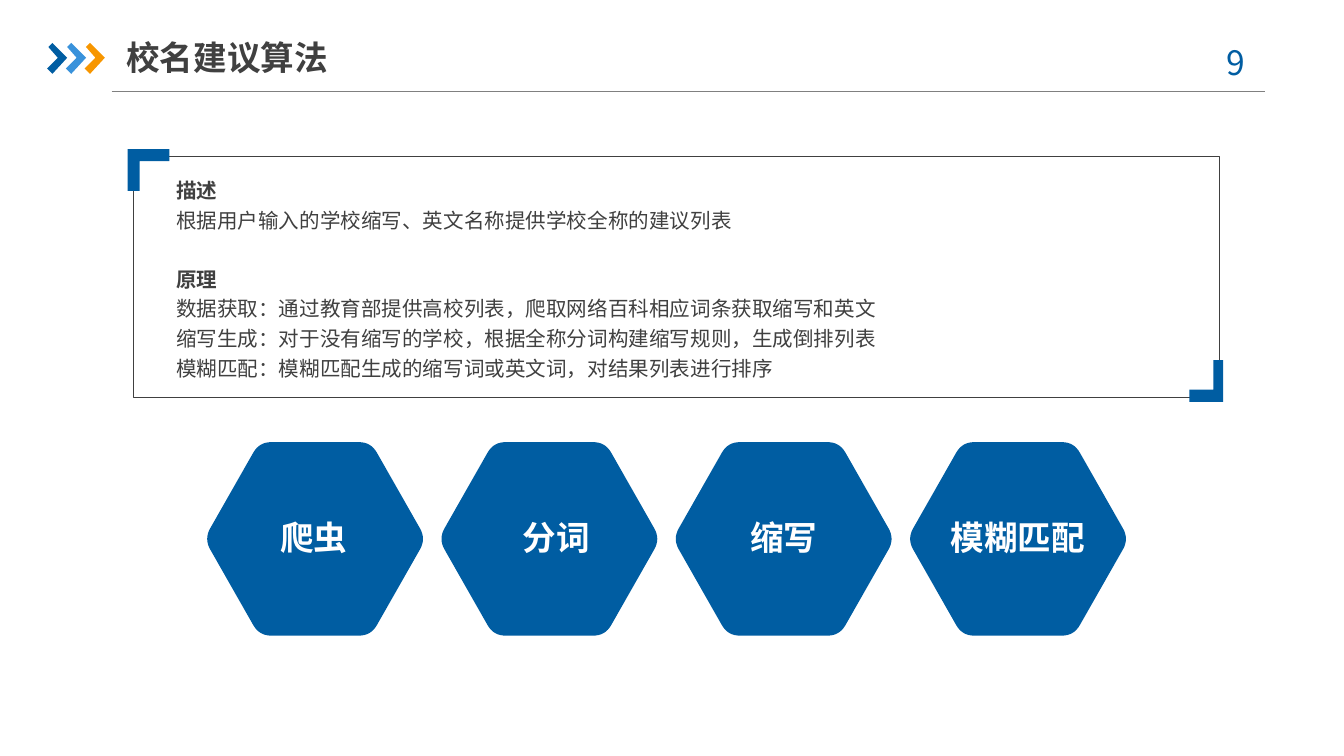
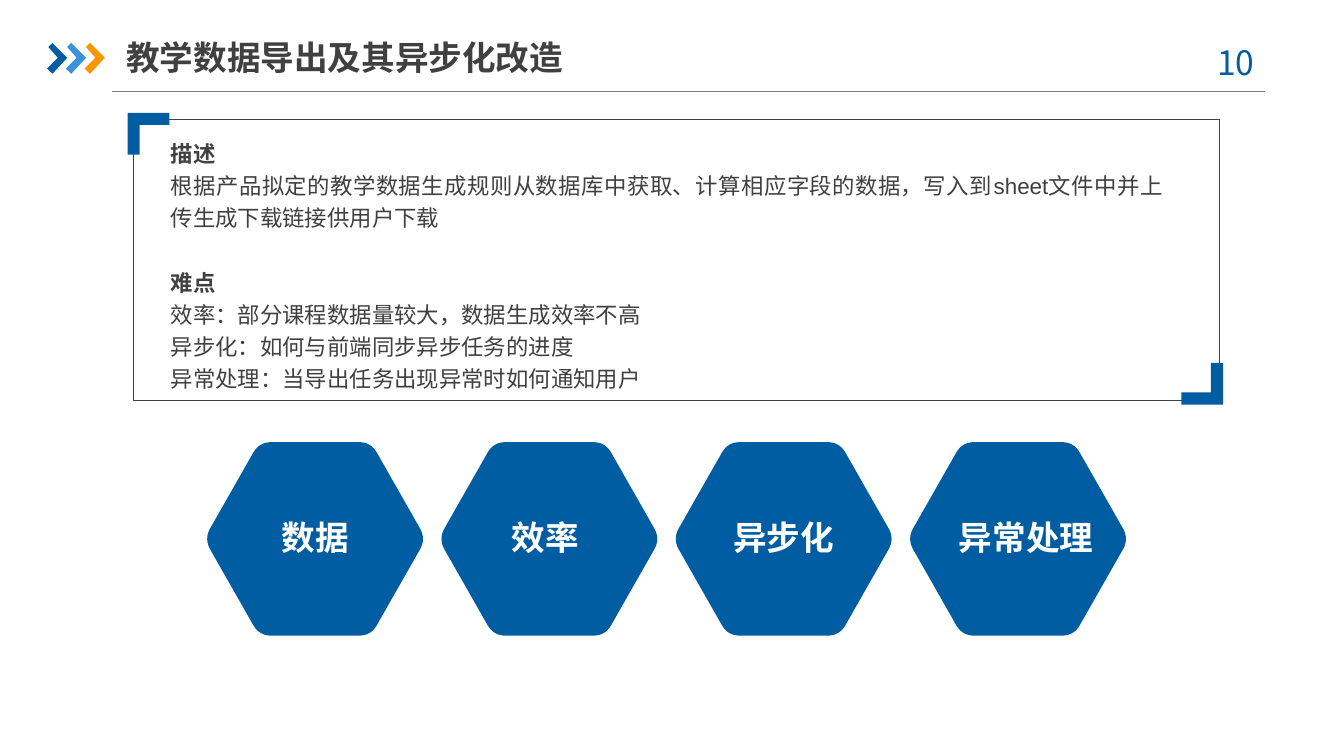
import dataclasses

import lxml.etree
import pptx
import pptx.dml.color
import pptx.enum.shapes
import pptx.enum.text
import pptx.oxml.ns
import pptx.util

Inches = pptx.util.Inches
Pt = pptx.util.Pt
ALIGN = pptx.enum.text.PP_ALIGN
ANCHOR = pptx.enum.text.MSO_ANCHOR


@dataclasses.dataclass(frozen=True)
class Theme:
    blue: str = "005DA2"
    light_blue: str = "3992DB"
    orange: str = "F79600"
    ink: str = "404040"
    rule: str = "808080"
    white: str = "FFFFFF"
    font: str = "Arial"
    number_font: str = "Noto Sans CJK SC"
    heading_size: int = 18


T = Theme()

TOPICS = [
    dict(
        number="9",
        title="校名建议算法",
        title_width=2.33,
        panel=(0.99, 1.16, 8.08, 1.8),
        text_inset=(0.32, 0.13),
        text_size=11,
        end_bracket_width=0.25,
        sections=[
            ("描述", ["根据用户输入的学校缩写、英文名称提供学校全称的建议列表"]),
            ("原理", [
                "数据获取：通过教育部提供高校列表，爬取网络百科相应词条获取缩写和英文",
                "缩写生成：对于没有缩写的学校，根据全称分词构建缩写规则，生成倒排列表",
                "模糊匹配：模糊匹配生成的缩写词或英文词，对结果列表进行排序",
            ]),
        ],
        # label and its sideways shift from the hexagon's centre
        keywords=[("爬虫", -0.01), ("分词", 0.05), ("缩写", 0), ("模糊匹配", 0)],
    ),
    dict(
        number="10",
        title="教学数据导出及其异步化改造",
        title_width=3.35,
        panel=(0.99, 0.89, 8.08, 2.09),
        text_inset=(0.28, 0.11),
        text_size=12,
        end_bracket_width=0.31,
        sections=[
            ("描述", ["根据产品拟定的教学数据生成规则从数据库中获取、计算相应字段的数据，"
                    "写入到sheet文件中并上传生成下载链接供用户下载"]),
            ("难点", [
                "效率：部分课程数据量较大，数据生成效率不高",
                "异步化：如何与前端同步异步任务的进度",
                "异常处理：当导出任务出现异常时如何通知用户",
            ]),
        ],
        keywords=[("数据", 0), ("效率", -0.03), ("异步化", 0), ("异常处理", 0.06)],
    ),
]


def rgb(color):
    return pptx.dml.color.RGBColor.from_string(color)


def set_all(obj, **values):
    for name, value in values.items():
        setattr(obj, name, value)


def add_outline(shapes, points, color):
    """Add a closed, filled outline through points given in inches."""
    pts = [(Inches(x), Inches(y)) for x, y in points]
    builder = shapes.build_freeform(*pts[0])
    builder.add_line_segments(pts[1:], close=True)
    sp = builder.convert_to_shape()
    sp.shadow.inherit = False
    sp.fill.solid()
    sp.fill.fore_color.rgb = rgb(color)
    sp.line.fill.background()


def add_frame(slide, box, margins=(0, 0), anchor=ANCHOR.TOP):
    """Add an empty wrapping text box; margins are horizontal and vertical."""
    tf = slide.shapes.add_textbox(*map(Inches, box)).text_frame
    mx, my = map(Inches, margins)
    set_all(tf, word_wrap=True, vertical_anchor=anchor, margin_left=mx,
            margin_right=mx, margin_top=my, margin_bottom=my)
    return tf


def write(p, text, size, color, bold=False, font=T.font, **layout):
    set_all(p, **layout)
    r = p.add_run()
    r.text = text
    set_all(r.font, name=font, size=Pt(size), bold=bold)
    r.font.color.rgb = rgb(color)


def add_chevrons(slide, left, top):
    group = slide.shapes.add_group_shape()
    chevron = [(0.01, 0.03), (0.04, 0), (0.15, 0.11), (0.04, 0.23), (0, 0.19), (0.08, 0.11)]
    for i, color in enumerate((T.blue, T.light_blue, T.orange)):
        x0 = left + i * 0.14
        add_outline(group.shapes, [(x0 + x, top + y) for x, y in chevron], color)


def add_header(slide, topic):
    line = slide.shapes.add_connector(
        pptx.enum.shapes.MSO_CONNECTOR.STRAIGHT, *map(Inches, (0.83, 0.68, 9.41, 0.68)))
    line.line.color.rgb = rgb(T.rule)
    line.line.width = Pt(0.75)
    lxml.etree.SubElement(line._element.spPr, pptx.oxml.ns.qn("a:effectLst"))
    add_chevrons(slide, 0.35, 0.32)

    tf = add_frame(slide, (8.83, 0.26, 0.73, 0.4), (0.1, 0.05))
    write(tf.paragraphs[0], topic["number"], T.heading_size, T.blue,
          font=T.number_font, alignment=ALIGN.CENTER)
    tf = add_frame(slide, (0.94, 0.22, topic["title_width"], 0.41), (0, 0.05), ANCHOR.MIDDLE)
    write(tf.paragraphs[0], topic["title"], T.heading_size, T.ink, bold=True)


def add_bracket(slide, x, y, width, direction):
    """Add an L-shaped bracket with its corner at x, y; direction 1 opens down-right, -1 up-left."""
    height, bar = 0.31, 0.09
    post = bar * width / height
    corner = [(0, 0), (width, 0), (width, bar), (post, bar), (post, height), (0, height)]
    add_outline(slide.shapes, [(x + direction * dx, y + direction * dy) for dx, dy in corner], T.blue)


def add_panel(slide, topic):
    left, top, width, height = topic["panel"]
    sp = slide.shapes.add_shape(
        pptx.enum.shapes.MSO_SHAPE.RECTANGLE, *map(Inches, topic["panel"]))
    sp.shadow.inherit = False
    sp.fill.background()
    sp.line.color.rgb = rgb(T.ink)
    sp.line.width = Pt(0.25)

    dx, dy = topic["text_inset"]
    size = topic["text_size"]
    tf = add_frame(slide, (left + dx, top + dy, 7.38, height - dy - 0.04))
    p = tf.paragraphs[0]
    layout = dict(alignment=ALIGN.JUSTIFY, line_spacing=1.2)
    for i, (heading, lines) in enumerate(topic["sections"]):
        if i:
            p = tf.add_paragraph()
            p.space_before = Pt(round(size * 1.44, 1))
        write(p, heading, size, T.ink, bold=True, **layout)
        for text in lines:
            write(tf.add_paragraph(), text, size, T.ink, **layout)

    add_bracket(slide, left - 0.04, top - 0.05, 0.31, 1)
    add_bracket(slide, left + width + 0.03, top + height + 0.03, topic["end_bracket_width"], -1)


def rounded(corners, trim, steps=8):
    """Return the polygon's points with each corner replaced by a quadratic curve."""
    points = []
    for i, (x, y) in enumerate(corners):
        ends = []
        for nx, ny in (corners[i - 1], corners[(i + 1) % len(corners)]):
            f = trim / ((nx - x) ** 2 + (ny - y) ** 2) ** 0.5
            ends.append((x + f * (nx - x), y + f * (ny - y)))
        (ax, ay), (bx, by) = ends
        for k in range(steps + 1):
            t = k / steps
            a, c, b = (1 - t) ** 2, 2 * t * (1 - t), t ** 2
            points.append((a * ax + c * x + b * bx, a * ay + c * y + b * by))
    return points


def add_hexagon(slide, box, label, shift):
    left, top, width, height = box
    slant, overhang = 0.39, 0.02
    right, bottom, middle = left + width, top + height, top + height / 2
    corners = [(left + slant, top), (right - slant, top), (right + overhang, middle),
               (right - slant, bottom), (left + slant, bottom), (left - overhang, middle)]
    add_outline(slide.shapes, rounded(corners, 0.09), T.blue)

    label_width = 1.06
    x = left + (width - label_width) / 2 + shift
    tf = add_frame(slide, (x, top + 0.56, label_width, 0.3))
    write(tf.paragraphs[0], label, T.heading_size, T.white, bold=True, alignment=ALIGN.CENTER)


def add_keywords(slide, keywords, box):
    """Spread one hexagon per keyword evenly across the box."""
    left, top, width, height = box
    hex_width = 1.61
    step = (width - hex_width) / (len(keywords) - 1)
    for i, (label, shift) in enumerate(keywords):
        add_hexagon(slide, (left + i * step, top, hex_width, height), label, shift)


def add_topic_slide(prs, topic):
    slide = prs.slides.add_slide(prs.slide_layouts[6])
    add_header(slide, topic)
    add_panel(slide, topic)
    add_keywords(slide, topic["keywords"], (1.54, 3.29, 6.84, 1.44))


def main():
    prs = pptx.Presentation()
    width = Inches(10)
    set_all(prs, slide_width=width, slide_height=width * 9 // 16)
    for topic in TOPICS:
        add_topic_slide(prs, topic)
    prs.save("out.pptx")


if __name__ == "__main__":
    main()
